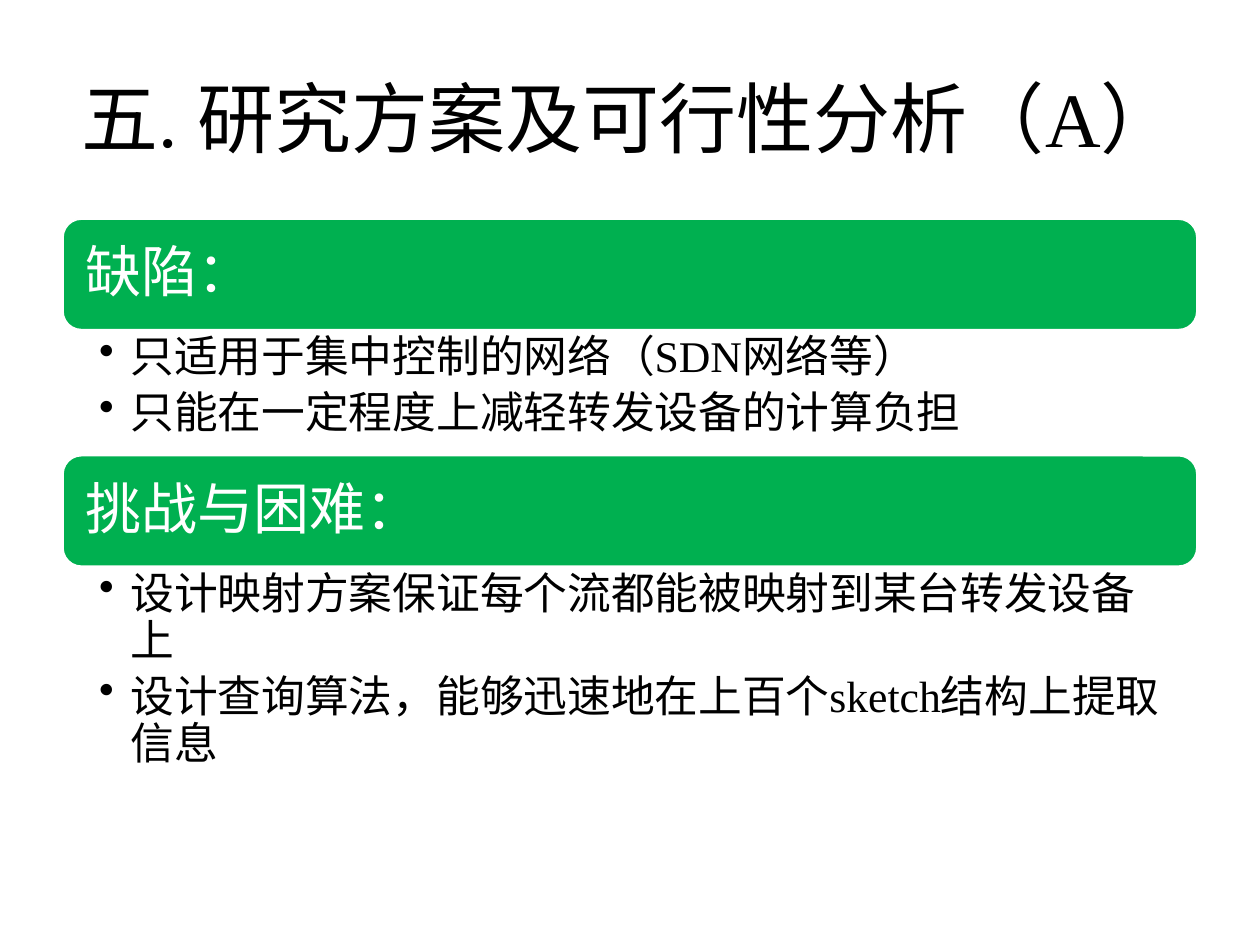
from lxml import etree
from pptx import Presentation
from pptx.dml.color import RGBColor
from pptx.enum import shapes, text
from pptx.oxml.ns import qn
from pptx.util import Pt

TITLE = "五. 研究方案及可行性分析（A）"
SECTIONS = [
    ("缺陷：", 72, [
        "只适用于集中控制的网络（SDN网络等）",
        "只能在一定程度上减轻转发设备的计算负担",
    ]),
    ("挑战与困难：", 130.4, [
        "设计映射方案保证每个流都能被映射到某台转发设备上",
        "设计查询算法，能够迅速地在上百个sketch结构上提取信息",
    ]),
]
COLORS = {"green": "00B050", "white": "FFFFFF", "black": "000000"}
FONT = "Times New Roman"
LEFT, WIDTH = 36, 648
SECTIONS_TOP, HEADER_HEIGHT = 125.2, 63.2
BULLET_INDENT = 18


def color(name):
    return RGBColor.from_string(COLORS[name])


def set_frame(frame, margins, anchor):
    """Margins are left, top, right, bottom."""
    frame.word_wrap = True
    frame.vertical_anchor = anchor
    (frame.margin_left, frame.margin_top,
     frame.margin_right, frame.margin_bottom) = map(Pt, margins)


def format_paragraph(paragraph, size, color_name, align=text.PP_ALIGN.LEFT):
    paragraph.alignment = align
    for run in paragraph.runs:
        run.font.name = FONT
        run.font.size = Pt(size)
        run.font.color.rgb = color(color_name)


def add_bullet(paragraph):
    properties = paragraph._p.get_or_add_pPr()
    properties.set("marL", str(Pt(BULLET_INDENT)))
    properties.set("indent", str(-Pt(BULLET_INDENT)))
    etree.SubElement(properties, qn("a:buChar")).set("char", "•")


def add_title(slide):
    box = slide.shapes.add_textbox(Pt(LEFT), Pt(21.6), Pt(WIDTH), Pt(90))
    frame = box.text_frame
    set_frame(frame, (7.2, 3.6, 7.2, 3.6), text.MSO_ANCHOR.MIDDLE)
    frame.text = TITLE
    format_paragraph(frame.paragraphs[0], 44, "black", text.PP_ALIGN.CENTER)


def add_header(slide, heading, top):
    shape = slide.shapes.add_shape(
        shapes.MSO_SHAPE.ROUNDED_RECTANGLE,
        Pt(LEFT), Pt(top), Pt(WIDTH), Pt(HEADER_HEIGHT))
    shape.shadow.inherit = False
    shape.fill.solid()
    shape.fill.fore_color.rgb = color("green")
    shape.line.color.rgb = color("white")
    shape.line.width = Pt(1)
    frame = shape.text_frame
    set_frame(frame, (9.6,) * 4, text.MSO_ANCHOR.MIDDLE)
    frame.text = heading
    frame.paragraphs[0].line_spacing = 0.9
    format_paragraph(frame.paragraphs[0], 32, "white")


def add_bullets(slide, items, top, height):
    box = slide.shapes.add_textbox(Pt(LEFT), Pt(top), Pt(WIDTH), Pt(height))
    frame = box.text_frame
    set_frame(frame, (20.6, 2.9, 17.8, 2.9), text.MSO_ANCHOR.TOP)
    frame.text = "\n".join(items)
    for paragraph in frame.paragraphs:
        paragraph.line_spacing = 0.9
        paragraph.space_after = Pt(5)
        format_paragraph(paragraph, 25, "black")
        add_bullet(paragraph)


def main():
    presentation = Presentation()
    presentation.slide_width, presentation.slide_height = Pt(720), Pt(540)
    slide = presentation.slides.add_slide(presentation.slide_layouts[6])
    add_title(slide)
    top = SECTIONS_TOP
    for heading, body_height, items in SECTIONS:
        add_header(slide, heading, top)
        add_bullets(slide, items, top + HEADER_HEIGHT, body_height)
        top += HEADER_HEIGHT + body_height
    presentation.save("out.pptx")


if __name__ == "__main__":
    main()
